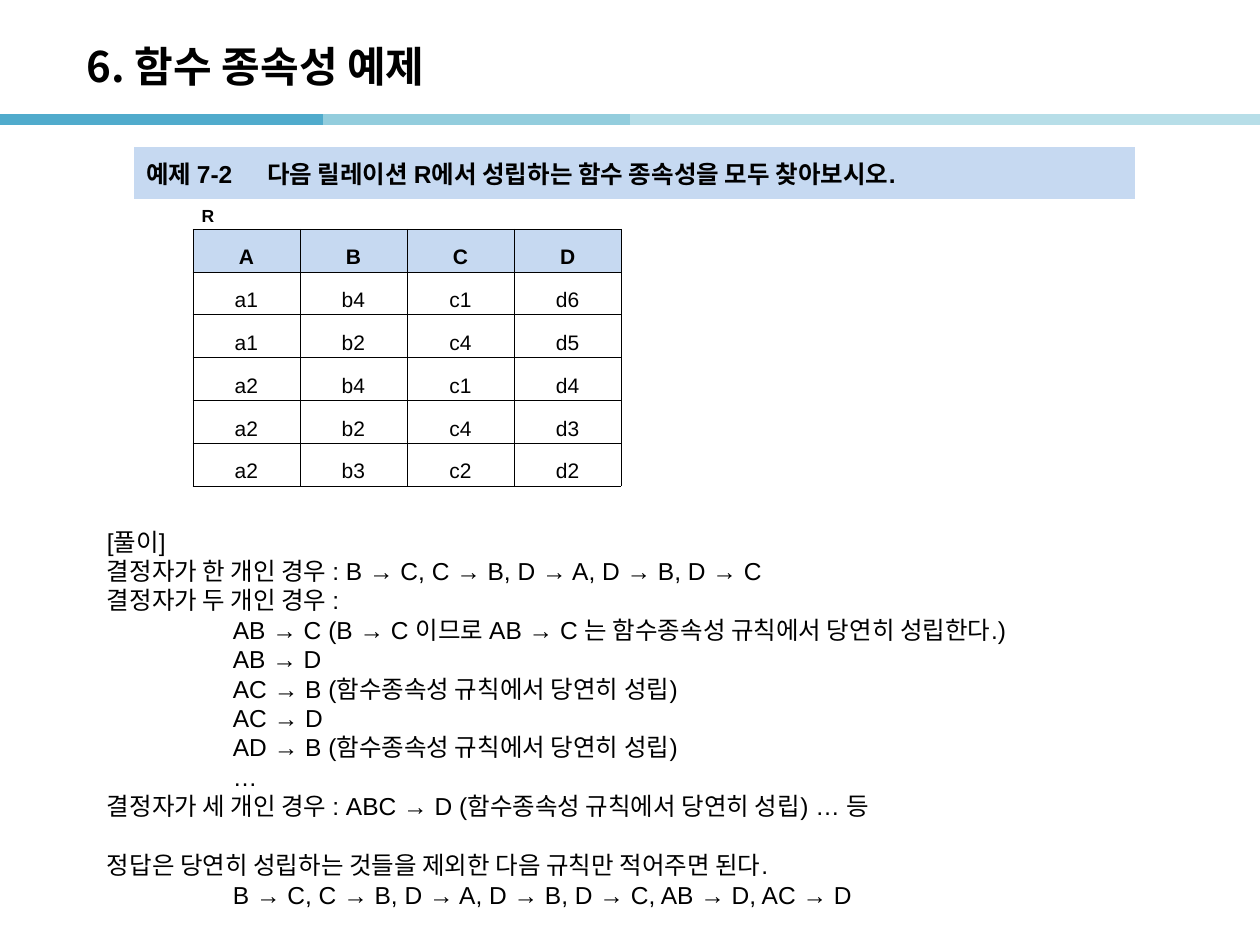
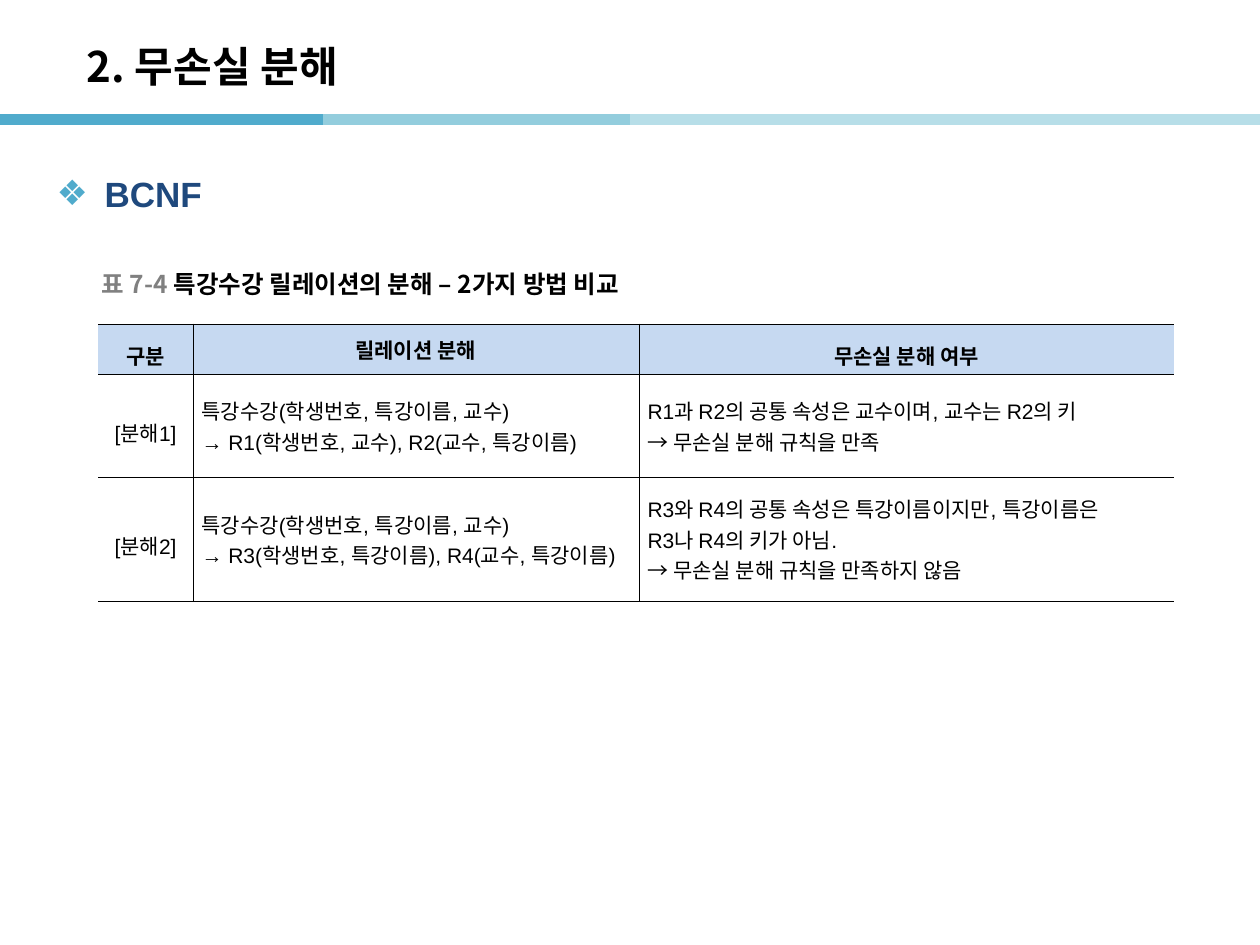
from dataclasses import dataclass, replace

from lxml.etree import SubElement
from pptx import Presentation
from pptx.dml.color import RGBColor
from pptx.enum.shapes import MSO_CONNECTOR
from pptx.enum.text import MSO_ANCHOR, MSO_AUTO_SIZE, PP_ALIGN
from pptx.oxml.ns import qn
from pptx.util import Inches, Pt

BLACK = RGBColor(0x00, 0x00, 0x00)
WHITE = RGBColor(0xFF, 0xFF, 0xFF)
GRAY = RGBColor(0x80, 0x80, 0x80)
NAVY = RGBColor(0x1F, 0x49, 0x7D)
HEADER_BLUE = RGBColor(0xC6, 0xD9, 0xF1)
TEAL = RGBColor(0x50, 0xAB, 0xCC)
LIGHT_TEAL = RGBColor(0x93, 0xCD, 0xDD)
PALE_TEAL = RGBColor(0xB7, 0xDE, 0xE8)

LATIN_FONT = "Arial"
KOREAN_FONT = "Noto Sans CJK KR"
PLAIN_TABLE_STYLE = "{2D5ABB26-0587-4C30-8999-92F81FD0307C}"
TITLE_ONLY, TITLE_AND_BODY = 5, 1


@dataclass(frozen=True)
class Band:
    left: float
    color: RGBColor


@dataclass(frozen=True)
class Box:
    left: float
    top: float
    width: float
    height: float

    def lengths(self):
        return [Inches(n) for n in (self.left, self.top, self.width, self.height)]


@dataclass(frozen=True)
class TextStyle:
    size: float
    bold: bool = False
    color: RGBColor = BLACK
    font: str = LATIN_FONT
    east_asian: str = ""
    alignment: PP_ALIGN = PP_ALIGN.LEFT
    line_spacing: float = 1.0


@dataclass(frozen=True)
class SolutionLine:
    text: str
    indent: float = 0
    space_before: float = 0


BANDS = [Band(0, TEAL), Band(2.56, LIGHT_TEAL), Band(5, PALE_TEAL), Band(7.46, PALE_TEAL)]
BAND_TOP, BAND_WIDTH = 0.95, 2.56

TITLE_BOX = Box(0.59, 0.22, 8.27, 0.6)
TITLE_STYLE = TextStyle(24, bold=True, font=KOREAN_FONT, east_asian=KOREAN_FONT)
SOLUTION_STYLE = TextStyle(14)
QUESTION_STYLE = TextStyle(14, bold=True)
HEADING_STYLE = TextStyle(20, bold=True, color=NAVY, line_spacing=1.5)
CAPTION_STYLE = replace(TITLE_STYLE, size=14)
RELATION_STYLE = TextStyle(12, alignment=PP_ALIGN.CENTER, line_spacing=1.6)
RELATION_NAME_STYLE = TextStyle(10, bold=True, line_spacing=1.6)
COMPARISON_STYLE = TextStyle(12, east_asian=KOREAN_FONT)
CASE_STYLE = replace(COMPARISON_STYLE, alignment=PP_ALIGN.CENTER, line_spacing=1.4)

RELATION = [
    "A B C D",
    "a1 b4 c1 d6",
    "a1 b2 c4 d5",
    "a2 b4 c1 d4",
    "a2 b2 c4 d3",
    "a2 b3 c2 d2",
]

SOLUTION = [
    SolutionLine("[풀이]"),
    SolutionLine("결정자가 한 개인 경우 : B → C, C → B, D → A, D → B, D → C"),
    SolutionLine("결정자가 두 개인 경우 :"),
    SolutionLine("AB → C (B → C 이므로 AB → C 는 함수종속성 규칙에서 당연히 성립한다.)", 1),
    SolutionLine("AB → D", 1),
    SolutionLine("AC → B (함수종속성 규칙에서 당연히 성립)", 1),
    SolutionLine("AC → D", 1),
    SolutionLine("AD → B (함수종속성 규칙에서 당연히 성립)", 1),
    SolutionLine("…", 1),
    SolutionLine("결정자가 세 개인 경우 : ABC → D (함수종속성 규칙에서 당연히 성립) … 등"),
    SolutionLine("정답은 당연히 성립하는 것들을 제외한 다음 규칙만 적어주면 된다.", space_before=17),
    SolutionLine("B → C, C → B, D → A, D → B, D → C, AB → D, AC → D", 1),
]

COMPARISON = [
    ["구분", "릴레이션 분해", "무손실 분해 여부"],
    [
        "[분해1]",
        "특강수강(학생번호, 특강이름, 교수)\n→ R1(학생번호, 교수), R2(교수, 특강이름)",
        "R1과 R2의 공통 속성은 교수이며, 교수는 R2의 키\n→ 무손실 분해 규칙을 만족",
    ],
    [
        "[분해2]",
        "특강수강(학생번호, 특강이름, 교수)\n→ R3(학생번호, 특강이름), R4(교수, 특강이름)",
        "R3와 R4의 공통 속성은 특강이름이지만, 특강이름은\nR3나 R4의 키가 아님.\n→ 무손실 분해 규칙을 만족하지 않음",
    ],
]


def style_paragraph(paragraph, style: TextStyle) -> None:
    paragraph.alignment = style.alignment
    paragraph.line_spacing = style.line_spacing
    paragraph.space_before = Pt(0)
    font = paragraph.font
    font.size, font.bold, font.name = Pt(style.size), style.bold, style.font
    font.color.rgb = style.color
    properties = paragraph._p.get_or_add_pPr().find(qn("a:defRPr"))
    properties.set("kern", "0")
    if style.east_asian:
        SubElement(properties, qn("a:ea"), typeface=style.east_asian)


def write_text(text_frame, text: str, style: TextStyle) -> None:
    text_frame.text = text
    for paragraph in text_frame.paragraphs:
        style_paragraph(paragraph, style)


def add_bands(presentation, slide) -> None:
    """Draw the bands and move them to the master, behind its placeholders."""
    for index, band in enumerate(BANDS):
        line = slide.shapes.add_connector(
            MSO_CONNECTOR.STRAIGHT, Inches(band.left), Inches(BAND_TOP),
            Inches(band.left + BAND_WIDTH), Inches(BAND_TOP))
        line.line.color.rgb = band.color
        line.line.width = Pt(6)
        SubElement(line.element.spPr, qn("a:effectLst"))
        line.element.nvCxnSpPr.cNvPr.id = 20 + index
        presentation.slide_master.shapes.element.insert(2 + index, line.element)


def place(shape, box: Box) -> None:
    shape.left, shape.top, shape.width, shape.height = box.lengths()


def add_slide(presentation, layout: int, title: str):
    slide = presentation.slides.add_slide(presentation.slide_layouts[layout])
    shape = slide.shapes.title
    place(shape, TITLE_BOX)
    shape.text_frame.auto_size = MSO_AUTO_SIZE.NONE
    shape.text_frame.vertical_anchor = MSO_ANCHOR.MIDDLE
    write_text(shape.text_frame, title, TITLE_STYLE)
    return slide


def add_plain_table(slide, box: Box, widths: list[float], heights: list[float]):
    frame = slide.shapes.add_table(len(heights), len(widths), *box.lengths())
    table = frame.table
    table.first_row = table.horz_banding = False
    next(frame.element.iter(qn("a:tableStyleId"))).text = PLAIN_TABLE_STYLE
    for column, width in zip(table.columns, widths):
        column.width = Inches(width)
    for row, height in zip(table.rows, heights):
        row.height = Inches(height)
    return table


def fill_cell(cell, text: str, style: TextStyle, fill: RGBColor | None = None) -> None:
    cell.vertical_anchor = MSO_ANCHOR.MIDDLE
    cell.margin_left = cell.margin_right = Inches(0.07)
    cell.margin_top = cell.margin_bottom = Inches(0.02)
    write_text(cell.text_frame, text, style)
    if fill is None:
        cell.fill.background()
    else:
        cell.fill.solid()
        cell.fill.fore_color.rgb = fill


def set_borders(cell, sides: str) -> None:
    """Draw thin black lines on the given sides, out of "LRTB"."""
    properties = cell._tc.get_or_add_tcPr()
    for index, side in enumerate(side for side in "LRTB" if side in sides):
        line = SubElement(properties, qn(f"a:ln{side}"), w=str(Pt(0.28)))
        SubElement(SubElement(line, qn("a:solidFill")), qn("a:srgbClr"), val=str(BLACK))
        properties.insert(index, line)


def add_question(slide) -> None:
    table = add_plain_table(slide, Box(1.06, 1.17, 7.95, 0.82), [7.95], [0.41, 0.41])
    for row, fill in enumerate((HEADER_BLUE, WHITE)):
        cell = table.cell(row, 0)
        cell.fill.solid()
        cell.fill.fore_color.rgb = fill
    question = table.cell(0, 0)
    question.vertical_anchor = MSO_ANCHOR.MIDDLE
    write_text(question.text_frame,
               "예제 7-2\t다음 릴레이션 R에서 성립하는 함수 종속성을 모두 찾아보시오.", QUESTION_STYLE)
    properties = question.text_frame.paragraphs[0]._p.get_or_add_pPr()
    tabs = properties.makeelement(qn("a:tabLst"))
    SubElement(tabs, qn("a:tab"), pos=str(Inches(0.96)), algn="l")
    properties.find(qn("a:defRPr")).addprevious(tabs)


def add_relation(slide) -> None:
    heights = [0.28] + [0.34] * len(RELATION)
    table = add_plain_table(slide, Box(1.53, 1.53, 3.4, sum(heights)), [0.85] * 4, heights)
    for column in range(4):
        fill_cell(table.cell(0, column), "", RELATION_NAME_STYLE)
        set_borders(table.cell(0, column), "B")
    table.cell(0, 0).merge(table.cell(0, 2))
    write_text(table.cell(0, 0).text_frame, "R", RELATION_NAME_STYLE)
    for row, values in enumerate(RELATION, start=1):
        is_header = row == 1
        for column, value in enumerate(values.split()):
            cell = table.cell(row, column)
            fill_cell(cell, value, replace(RELATION_STYLE, bold=is_header),
                      HEADER_BLUE if is_header else None)
            set_borders(cell, "LRTB")


def add_solution(slide) -> None:
    text_frame = slide.shapes.add_textbox(*Box(0.75, 4.13, 8.35, 3.16).lengths()).text_frame
    text_frame.word_wrap = True
    write_text(text_frame, "\n".join(line.text for line in SOLUTION), SOLUTION_STYLE)
    for paragraph, line in zip(text_frame.paragraphs, SOLUTION):
        paragraph.space_before = Pt(line.space_before)
        paragraph._p.get_or_add_pPr().set("marL", str(Inches(line.indent)))


def add_comparison(slide) -> None:
    table = add_plain_table(slide, Box(0.78, 2.57, 8.54, 2.2), [0.75, 3.54, 4.25], [0.4, 0.82, 0.98])
    for row, texts in enumerate(COMPARISON):
        for column, text in enumerate(texts):
            style = COMPARISON_STYLE if column == 1 or row and column else CASE_STYLE
            if row == 0:
                style = replace(style, bold=True, alignment=PP_ALIGN.CENTER)
            cell = table.cell(row, column)
            fill_cell(cell, text, style, HEADER_BLUE if row == 0 else None)
            set_borders(cell, ("RTB", "LRTB", "LTB")[column])


def add_caption(slide) -> None:
    text_frame = slide.shapes.add_textbox(*Box(0.71, 2.1, 5, 0.31).lengths()).text_frame
    text_frame.word_wrap = True
    text_frame.vertical_anchor = MSO_ANCHOR.MIDDLE
    paragraph = text_frame.paragraphs[0]
    style_paragraph(paragraph, CAPTION_STYLE)
    for text, color in (("표 7-4 ", GRAY), ("특강수강 릴레이션의 분해 – 2가지 방법 비교", BLACK)):
        run = paragraph.add_run()
        run.text = text
        run.font.color.rgb = color


def write_heading(slide, text: str) -> None:
    body = slide.placeholders[1]
    place(body, Box(0.35, 1.15, 8.82, 0.7))
    body.text_frame.auto_size = MSO_AUTO_SIZE.NONE
    write_text(body.text_frame, text, HEADING_STYLE)
    properties = body.text_frame.paragraphs[0]._p.get_or_add_pPr()
    properties.set("marL", str(Inches(0.38)))
    properties.set("indent", str(Inches(-0.38)))
    color = properties.makeelement(qn("a:buClr"))
    SubElement(color, qn("a:srgbClr"), val=str(TEAL))
    bullet = properties.makeelement(qn("a:buChar"), char="❖")
    for element in (color, bullet):
        properties.find(qn("a:defRPr")).addprevious(element)


def main() -> None:
    presentation = Presentation()
    presentation.slide_width, presentation.slide_height = Inches(10), Inches(7.5)

    example = add_slide(presentation, TITLE_ONLY, "6. 함수 종속성 예제")
    add_bands(presentation, example)
    add_question(example)
    add_relation(example)
    add_solution(example)

    decomposition = add_slide(presentation, TITLE_AND_BODY, "2. 무손실 분해")
    write_heading(decomposition, "BCNF")
    add_caption(decomposition)
    add_comparison(decomposition)

    presentation.save("out.pptx")


if __name__ == "__main__":
    main()
